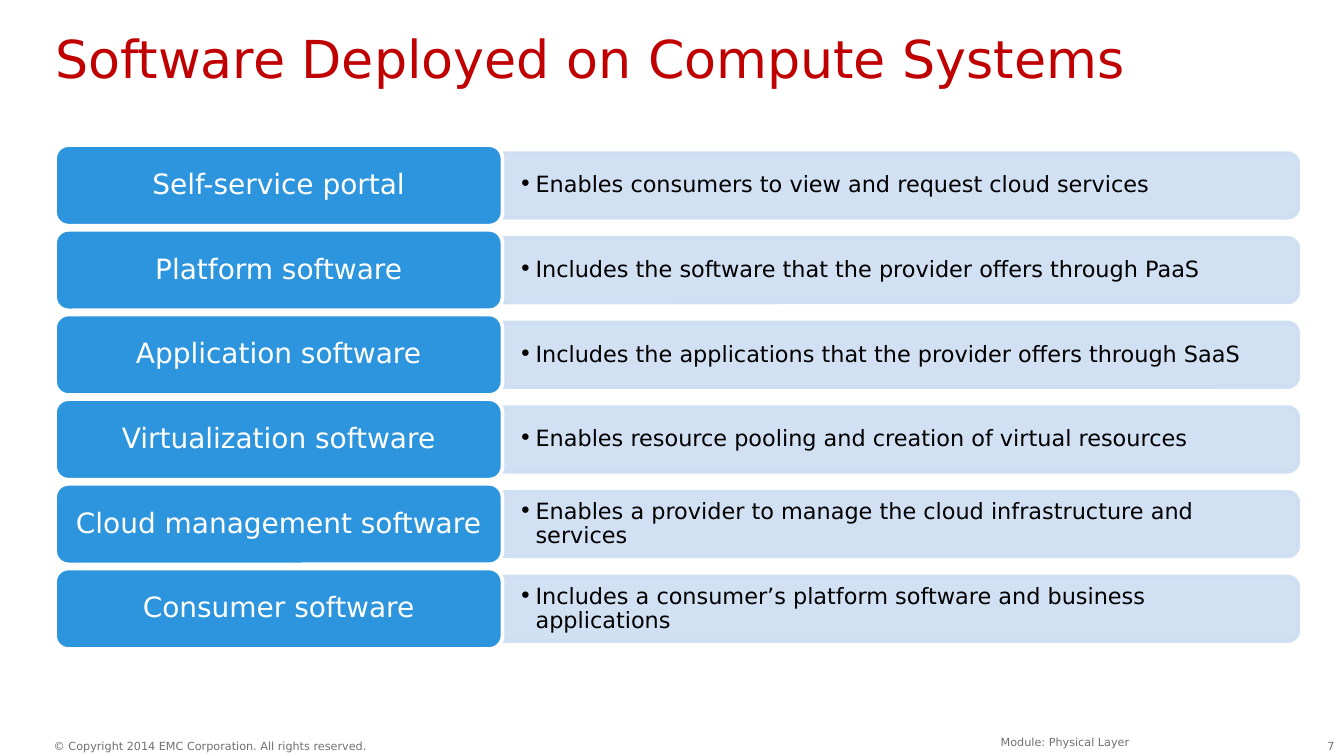
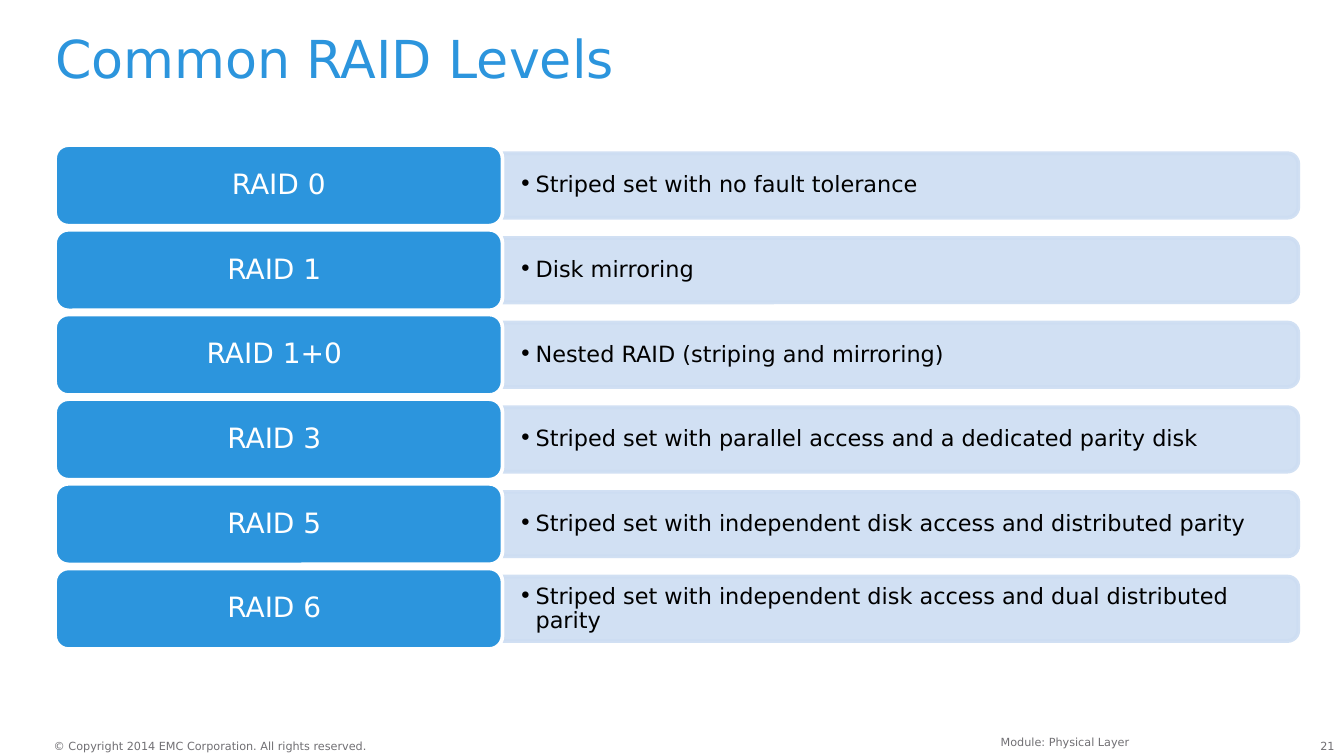
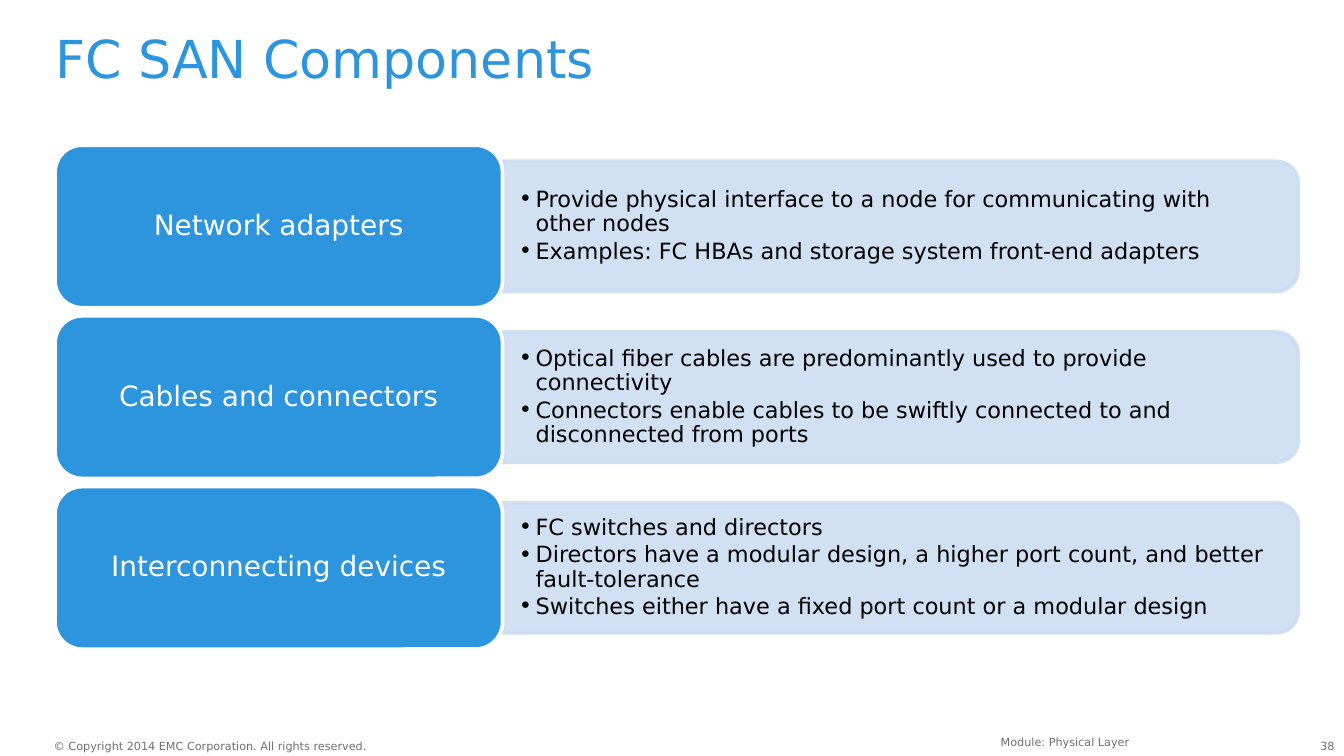
import pptx
import pptx.util
from pptx.dml.color import RGBColor
from pptx.enum.shapes import MSO_SHAPE
from pptx.enum.text import MSO_ANCHOR, MSO_AUTO_SIZE, PP_ALIGN
from pptx.oxml.ns import qn
from pptx.util import Inches

# Shared look
FONT = "DejaVu Sans"
BLUE = RGBColor(0x2C, 0x95, 0xDD)
RED = RGBColor(0xC0, 0x00, 0x00)
PALE_BLUE = RGBColor(0xCD, 0xDD, 0xF2)
GREY = RGBColor(0x71, 0x70, 0x74)
BLACK = RGBColor(0x00, 0x00, 0x00)
WHITE = RGBColor(0xFF, 0xFF, 0xFF)
BULLET_INDENT = pptx.util.Pt(9)

# Row grid: labels fill the height, with gaps of 5% of a label
ROWS_TOP, ROWS_HEIGHT = 1.08, 3.75
GAP_RATIO, PANEL_RATIO = 0.05, 0.8
LABEL_LEFT, LABEL_WIDTH = 0.41, 3.33
PANEL_LEFT, PANEL_WIDTH = LABEL_LEFT + LABEL_WIDTH, 5.92

# Footer: text, left, top, width, height, inset, alignment, wrap
COPYRIGHT = ("© Copyright 2014 EMC Corporation. All rights reserved.",
             0.4, 5.5, 2.37, 0.1, 0, PP_ALIGN.LEFT, False)
MODULE = ("Module: Physical Layer", 2.83, 5.42, 5.67, 0.15, 0.05, PP_ALIGN.RIGHT, True)

# Title, title colour, page number, rows of (label, details)
SLIDES = [
    ("Software Deployed on Compute Systems", RED, "7", [
        ("Self-service portal", ["Enables consumers to view and request cloud services"]),
        ("Platform software", ["Includes the software that the provider offers through PaaS"]),
        ("Application software",
         ["Includes the applications that the provider offers through SaaS"]),
        ("Virtualization software",
         ["Enables resource pooling and creation of virtual resources"]),
        ("Cloud management software",
         ["Enables a provider to manage the cloud infrastructure and services"]),
        ("Consumer software",
         ["Includes a consumer’s platform software and business applications"]),
    ]),
    ("Common RAID Levels", BLUE, "21", [
        ("RAID 0", ["Striped set with no fault tolerance"]),
        ("RAID 1 ", ["Disk mirroring"]),
        ("RAID 1+0 ", ["Nested RAID (striping and mirroring)"]),
        ("RAID 3 ", ["Striped set with parallel access and a dedicated parity disk"]),
        ("RAID 5 ", ["Striped set with independent disk access and distributed parity"]),
        ("RAID 6 ", ["Striped set with independent disk access and dual distributed parity"]),
    ]),
    ("FC SAN Components", BLUE, "38", [
        ("Network adapters",
         ["Provide physical interface to a node for communicating with other nodes",
          "Examples: FC HBAs and storage system front-end adapters"]),
        ("Cables and connectors",
         ["Optical fiber cables are predominantly used to provide connectivity",
          "Connectors enable cables to be swiftly connected to and disconnected from ports"]),
        ("Interconnecting devices",
         ["FC switches and directors",
          "Directors have a modular design, a higher port count, and better fault-tolerance",
          "Switches either have a fixed port count or a modular design"]),
    ]),
]


def set_frame(frame, inset_x, inset_y, anchor, wrap=True):
    frame.margin_left = frame.margin_right = Inches(inset_x)
    frame.margin_top = frame.margin_bottom = Inches(inset_y)
    frame.vertical_anchor = anchor
    frame.word_wrap = wrap
    frame.auto_size = MSO_AUTO_SIZE.NONE


def style_paragraph(paragraph, size, color, align=PP_ALIGN.LEFT, spacing=0.9, after=0):
    paragraph.alignment = align
    paragraph.line_spacing = spacing
    paragraph.space_before = pptx.util.Pt(0)
    paragraph.space_after = pptx.util.Pt(after)
    paragraph.font.name = FONT
    paragraph.font.size = pptx.util.Pt(size)
    paragraph.font.color.rgb = color


# A 16:9 page
deck = pptx.Presentation()
deck.slide_width = Inches(10)
deck.slide_height = deck.slide_width * 9 // 16

for heading, heading_color, page_number, rows in SLIDES:
    slide = deck.slides.add_slide(deck.slide_layouts[0])
    subtitle = slide.placeholders[1].element
    subtitle.getparent().remove(subtitle)

    # Footer
    page = (page_number, 9.62, 5.5, 0.31, 0.1, 0, PP_ALIGN.RIGHT, True)
    for text, left, top, width, height, inset, align, wrap in (page, COPYRIGHT, MODULE):
        footer = slide.shapes.add_textbox(Inches(left), Inches(top),
                                          Inches(width), Inches(height))
        set_frame(footer.text_frame, inset * 2, inset, MSO_ANCHOR.TOP, wrap)
        footer.text_frame.text = text
        style_paragraph(footer.text_frame.paragraphs[0], 6, GREY, align, 1.0)

    # Title
    title = slide.shapes.title
    title.left, title.top = Inches(0.41), Inches(0.25)
    title.width, title.height = Inches(9.25), Inches(0.5)
    set_frame(title.text_frame, 0, 0, MSO_ANCHOR.TOP)
    title.text_frame.text = heading
    style_paragraph(title.text_frame.paragraphs[0], 28, heading_color)

    # Rows of label and detail panel
    label_height = ROWS_HEIGHT / (len(rows) + GAP_RATIO * (len(rows) - 1))
    panel_height = label_height * PANEL_RATIO
    corner_inset = panel_height * 0.05
    for index, (name, points) in enumerate(rows):
        label_top = ROWS_TOP + index * label_height * (1 + GAP_RATIO)
        middle = label_top + label_height / 2

        # Panel: turned a quarter so that its round corners face right
        panel = slide.shapes.add_shape(
            MSO_SHAPE.ROUND_2_SAME_RECTANGLE,
            Inches(PANEL_LEFT + (PANEL_WIDTH - panel_height) / 2),
            Inches(middle - PANEL_WIDTH / 2), Inches(panel_height), Inches(PANEL_WIDTH))
        panel.rotation = 90
        panel.shadow.inherit = False
        panel.fill.solid()
        panel.fill.fore_color.rgb = PALE_BLUE
        panel.line.color.rgb = PALE_BLUE
        panel.line.width = pptx.util.Pt(2)
        for color in panel.element.spPr.iter(qn("a:srgbClr")):
            color.append(color.makeelement(qn("a:alpha"), {"val": "90000"}))

        details = slide.shapes.add_textbox(
            Inches(PANEL_LEFT), Inches(middle - panel_height / 2 + corner_inset),
            Inches(PANEL_WIDTH - corner_inset), Inches(panel_height - 2 * corner_inset))
        set_frame(details.text_frame, 0.12, 0.06, MSO_ANCHOR.MIDDLE)
        details.text_frame.text = "\n".join(points)
        for point in details.text_frame.paragraphs:
            point.level = 1
            properties = point._p.get_or_add_pPr()
            properties.set("marL", str(BULLET_INDENT))
            properties.set("indent", str(-BULLET_INDENT))
            properties.append(properties.makeelement(qn("a:buFont"), {"typeface": FONT}))
            properties.append(properties.makeelement(qn("a:buChar"), {"char": "•"}))
            style_paragraph(point, 12, BLACK, after=1.8)

        # Label
        label = slide.shapes.add_shape(
            MSO_SHAPE.ROUNDED_RECTANGLE, Inches(LABEL_LEFT), Inches(label_top),
            Inches(LABEL_WIDTH), Inches(label_height))
        label.shadow.inherit = False
        label.fill.solid()
        label.fill.fore_color.rgb = BLUE
        label.line.color.rgb = WHITE
        label.line.width = pptx.util.Pt(2)
        set_frame(label.text_frame, 0.06, 0.03, MSO_ANCHOR.MIDDLE)
        label.text_frame.text = name
        style_paragraph(label.text_frame.paragraphs[0], 15, WHITE, PP_ALIGN.CENTER)

deck.save("out.pptx")
